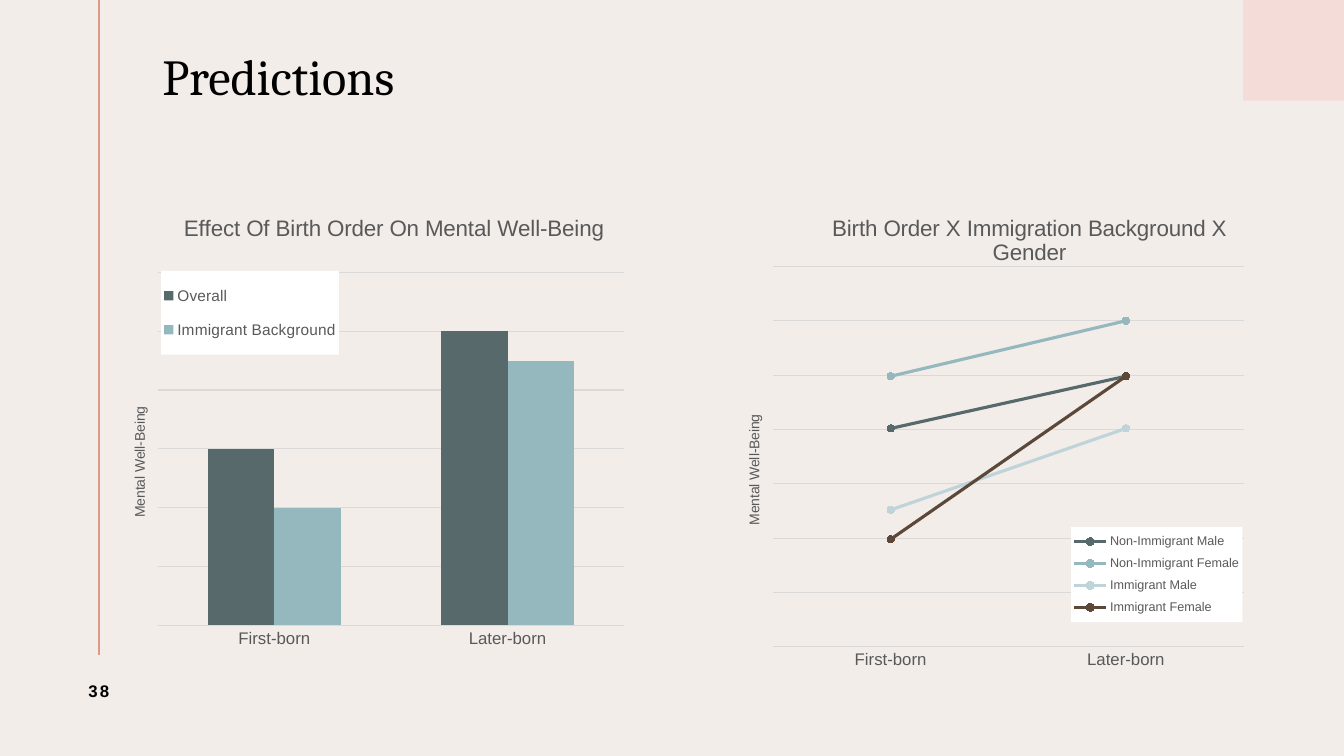
from lxml import etree
from pptx import Presentation
from pptx.chart.data import CategoryChartData
from pptx.dml.color import RGBColor
from pptx.enum import chart as ec, shapes, text
from pptx.oxml.ns import qn
from pptx.util import Inches, Pt

INK, GREY, GRID = "000000", "595959", "D9D9D9"
TITLE, NUMBER = "Predictions", "38"
CATEGORIES = ["First-born", "Later-born"]
AXIS_TITLE = "Mental Well-Being"
CHARTS = [
    dict(kind=ec.XL_CHART_TYPE.COLUMN_CLUSTERED, box=(1.08, 1.89, 5.58, 4.86),
         title="Effect Of Birth Order On Mental Well-Being",
         series=[("Overall", (60, 100), "58696B"),
                 ("Immigrant Background", (40, 90), "95B8BF")],
         step=20, intervals=6, legend_size=11,
         plot=(0.087, 0.167, 0.829, 0.721), legend=(0.093, 0.164, 0.316, 0.171),
         title_at=(0.126, 0.04), axis_at=(0.034, 0.436)),
    dict(kind=ec.XL_CHART_TYPE.LINE_MARKERS, box=(7.3, 1.89, 5.74, 4.86),
         title="Birth Order X Immigration Background X Gender",
         series=[("Non-Immigrant Male", (67, 83), "58696B"),
                 ("Non-Immigrant Female", (83, 100), "95B8BF"),
                 ("Immigrant Male", (42, 67), "BFD4D9"),
                 ("Immigrant Female", (33, 83), "5B4839")],
         step=16.67, intervals=7, legend_size=9,
         plot=(0.064, 0.155, 0.813, 0.777), legend=(0.579, 0.687, 0.296, 0.194),
         title_at=(0.159, 0.04), axis_at=(0.011, 0.452)),
]


def rgb(value):
    return RGBColor.from_string(value)


def fill(obj, color):
    obj.fill.solid()
    obj.fill.fore_color.rgb = rgb(color)


def stroke(line, color, width):
    line.color.rgb = rgb(color)
    line.width = Pt(width)


def style(font, size, color, name="Arial", bold=False):
    font.size, font.name, font.bold = Pt(size), name, bold
    font.color.rgb = rgb(color)


def add_text(s, box, content, size, name="Arial", bold=False):
    tf = s.shapes.add_textbox(*map(Inches, box)).text_frame
    tf.word_wrap = True
    tf.vertical_anchor = text.MSO_ANCHOR.MIDDLE
    tf.text = content
    p = tf.paragraphs[0]
    style(p.runs[0].font, size, INK, name, bold)
    return tf, p


def place(element, box, after=None, inner=False):
    for old in element.findall(qn("c:layout")):
        element.remove(old)
    layout = etree.Element(qn("c:layout"))
    manual = etree.SubElement(layout, qn("c:manualLayout"))
    items = [("layoutTarget", "inner")] if inner else []
    items += [("xMode", "edge"), ("yMode", "edge"), *zip("xywh", box)]
    for tag, value in items:
        etree.SubElement(manual, qn("c:" + tag)).set("val", str(value))
    at = element.index(element.find(qn(after))) + 1 if after else 0
    element.insert(at, layout)


def add_title(title, content, size, at):
    tf = title.text_frame
    tf.text = content
    style(tf.paragraphs[0].runs[0].font, size, GREY)
    place(title._element, at, "c:tx")


def add_chart(s, c):
    data = CategoryChartData()
    data.categories = CATEGORIES
    for name, values, _ in c["series"]:
        data.add_series(name, values)
    chart = s.shapes.add_chart(c["kind"], *map(Inches, c["box"]), data).chart
    style(chart.font, 10, INK)

    cat, val = chart.category_axis, chart.value_axis
    cat.major_tick_mark = ec.XL_TICK_MARK.NONE
    style(cat.tick_labels.font, 12, GREY)
    stroke(cat.format.line, GRID, 0.75)
    val.minimum_scale, val.major_unit = 0, c["step"]
    val.maximum_scale = round(c["step"] * c["intervals"], 2)
    val.has_major_gridlines = True
    stroke(val.major_gridlines.format.line, GRID, 0.75)
    val.visible = False
    add_title(val.axis_title, AXIS_TITLE, 10, c["axis_at"])
    turn = val.axis_title.text_frame._txBody.bodyPr
    turn.set("rot", "-5400000")
    turn.set("vert", "horz")
    add_title(chart.chart_title, c["title"], 16, c["title_at"])
    place(val._element.getparent(), c["plot"], inner=True)

    chart.has_legend = True
    legend = chart.legend
    legend.position = ec.XL_LEGEND_POSITION.RIGHT
    legend.include_in_layout = False
    style(legend.font, c["legend_size"], GREY)
    place(legend._element, c["legend"], "c:legendPos")
    sp_pr = etree.Element(qn("c:spPr"))
    solid = etree.SubElement(sp_pr, qn("a:solidFill"))
    etree.SubElement(solid, qn("a:srgbClr")).set("val", "FFFFFF")
    legend._element.find(qn("c:txPr")).addprevious(sp_pr)

    plot = chart.plots[0]
    plot.vary_by_categories = False
    columns = c["kind"] == ec.XL_CHART_TYPE.COLUMN_CLUSTERED
    if columns:
        plot.gap_width, plot.overlap = 150, 0
    for series, (_, _, color) in zip(plot.series, c["series"]):
        if columns:
            fill(series.format, color)
            continue
        series.smooth = False
        stroke(series.format.line, color, 2.25)
        series.marker.style = ec.XL_MARKER_STYLE.CIRCLE
        series.marker.size = 5
        fill(series.marker.format, color)
        stroke(series.marker.format.line, color, 0.75)


def main():
    prs = Presentation()
    prs.slide_width, prs.slide_height = Inches(13.33), Inches(7.5)
    s = prs.slides.add_slide(prs.slide_layouts[6])
    fill(s.background, "F3EDEA")

    corner = s.shapes.add_shape(shapes.MSO_SHAPE.RECTANGLE,
                                *map(Inches, (12.33, 0, 1, 1)))
    corner.shadow.inherit = False
    fill(corner, "F4DDD8")
    corner.line.fill.background()
    rule = s.shapes.add_connector(shapes.MSO_CONNECTOR.STRAIGHT,
                                  *map(Inches, (0.98, 0, 0.98, 6.5)))
    stroke(rule.line, "DF998B", 1.5)
    etree.SubElement(rule._element.spPr, qn("a:effectLst"))

    tf, p = add_text(s, (1.61, 0.01, 10.73, 1.56), TITLE, 36, "Cambria")
    tf.margin_left = 0
    p.line_spacing = 0.9
    _, p = add_text(s, (0.45, 6.5, 1.06, 0.71), NUMBER, 12, bold=True)
    p.alignment = text.PP_ALIGN.CENTER
    p.runs[0].font._element.set("spc", "150")

    for c in CHARTS:
        add_chart(s, c)
    prs.save("out.pptx")


if __name__ == "__main__":
    main()
